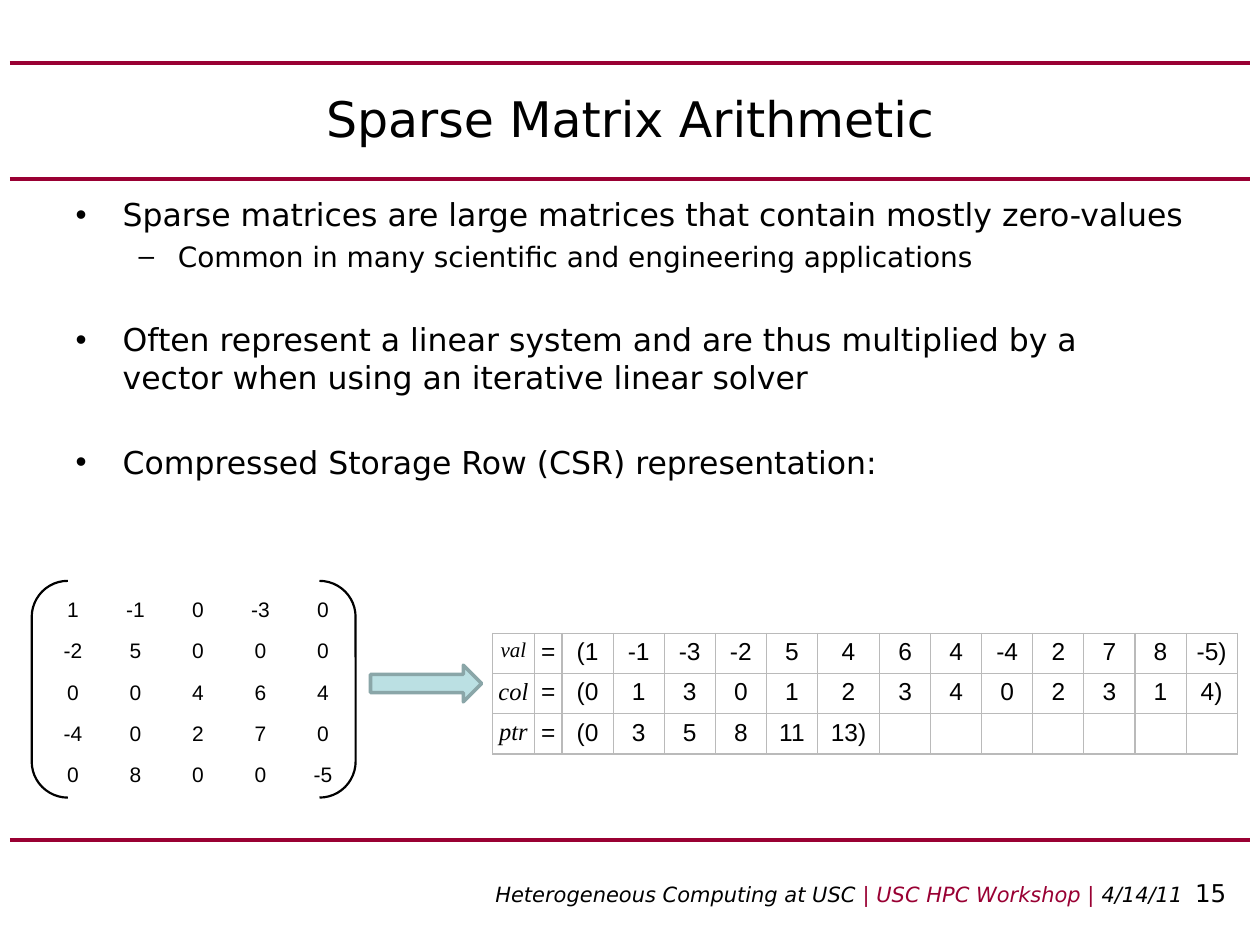
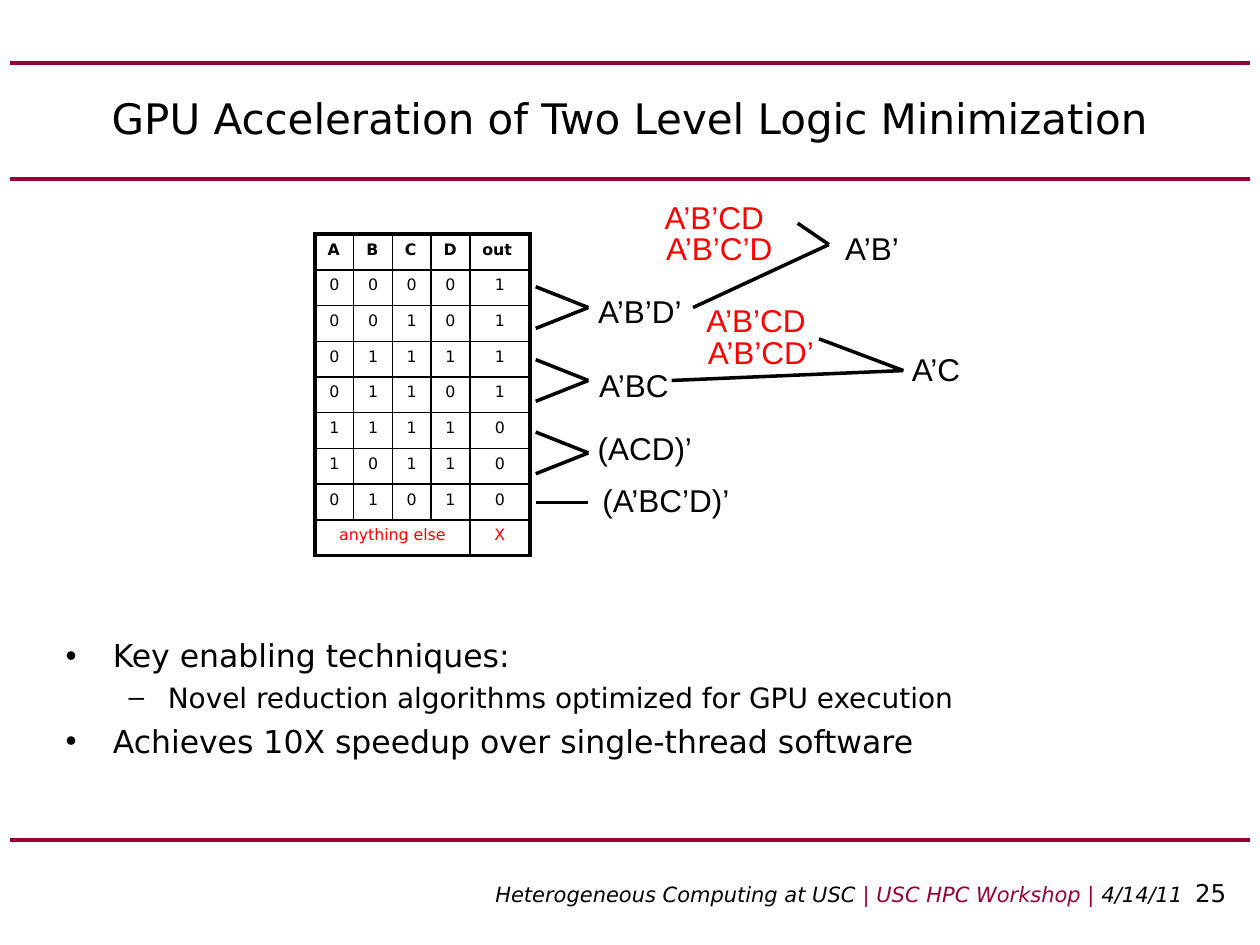
from lxml.etree import SubElement
from pptx import Presentation
from pptx.dml.color import RGBColor
from pptx.enum.shapes import MSO_CONNECTOR as Link, MSO_SHAPE as Form
from pptx.enum.text import MSO_ANCHOR as Anchor, MSO_AUTO_SIZE as Fit, PP_ALIGN as Align
from pptx.oxml.ns import qn
from pptx.util import Cm, Pt

BLACK, WINE, RED, GREY = "000000", "990033", "FF0000", "BABABA"
TITLE = {"name": "DejaVu Sans", "bold": False}
FOOT = {"name": "DejaVu Sans", "size": Pt(12), "italic": True}
LABEL = {"name": "Arial", "size": Pt(18)}
ENTRY = {"name": "Arial", "size": Pt(12), "bold": False}
VALUE = {"name": "Arial", "size": Pt(14), "bold": False}
NAME = {"name": "Times New Roman", "size": Pt(14), "bold": False, "italic": True}
BIT = {"name": "DejaVu Sans", "size": Pt(9), "bold": False}
# level: bullet, left margin, hanging indent, text size
LEVELS = [("•", 0.95, 0.95, 18), ("–", 2.06, 0.79, 16)]


def tint(code):
    return RGBColor.from_string(code)


def style(target, values):
    for key, value in values.items():
        setattr(target, key, value)


def write(para, text, font, color=BLACK):
    run = para.add_run()
    run.text = text
    style(run.font, font)
    run.font.color.rgb = tint(color)


def place(shape, box):
    style(shape, dict(zip(("left", "top", "width", "height"), map(Cm, box))))


def rule(slide, start, end, color=BLACK, width=2):
    line = slide.shapes.add_connector(Link.STRAIGHT, *map(Cm, (*start, *end)))
    style(line.line, {"width": Pt(width)})
    line.line.color.rgb = tint(color)
    SubElement(line._element.spPr, qn("a:effectLst"))


def form(slide, kind, box, line, width, fill=None):
    shape = slide.shapes.add_shape(kind, *map(Cm, box))
    shape.shadow.inherit = False
    shape.line.color.rgb = tint(line)
    shape.line.width = Pt(width)
    if fill:
        shape.fill.solid()
        shape.fill.fore_color.rgb = tint(fill)
    else:
        shape.fill.background()


def text_box(slide, box):
    frame = slide.shapes.add_textbox(*map(Cm, box)).text_frame
    frame.word_wrap = True
    return frame.paragraphs[0]


# Slide frame: title, rules and footer
def start(deck, title, size, number):
    slide = deck.slides.add_slide(deck.slide_layouts[1])
    for y in (1.27, 3.6, 16.94):
        rule(slide, (0.2, y), (25.2, y), WINE, 2.25)
    head = slide.shapes.title
    place(head, (1.27, 1.27, 22.86, 2.21))
    style(head.text_frame, {"vertical_anchor": Anchor.MIDDLE, "auto_size": Fit.NONE})
    para = head.text_frame.paragraphs[0]
    para.alignment = Align.CENTER
    write(para, title, TITLE | {"size": Pt(size)})
    foot = text_box(slide, (7.82, 17.58, 17.15, 0.84))
    foot.alignment = Align.RIGHT
    write(foot, "Heterogeneous Computing at USC ", FOOT)
    write(foot, "| USC HPC Workshop | ", FOOT, WINE)
    write(foot, "4/14/11\t ", FOOT)
    write(foot, number, FOOT | {"size": Pt(14), "italic": False})
    return slide


def bullets(slide, box, items):
    """Each item is level, space before, text."""
    body = slide.placeholders[1]
    place(body, box)
    frame = body.text_frame
    style(frame, {"vertical_anchor": Anchor.TOP, "auto_size": Fit.NONE,
                  "margin_right": Cm(0.2)})
    for i, (level, gap, text) in enumerate(items):
        para = frame.add_paragraph() if i else frame.paragraphs[0]
        mark, left, hang, size = LEVELS[level]
        props = para._p.get_or_add_pPr()
        props.set("marL", str(Cm(left)))
        props.set("indent", str(-Cm(hang)))
        SubElement(props, qn("a:buChar")).set("char", mark)
        style(para, {"level": level, "space_before": Pt(gap),
                     "alignment": Align.LEFT})
        write(para, text, TITLE | {"size": Pt(size)})


# Tables
def grid(slide, x, y, cols, height, count):
    shape = slide.shapes.add_table(count, len(cols), Cm(x), Cm(y),
                                   Cm(sum(cols)), Cm(height * count))
    table = shape.table
    style(table, {"first_row": False, "horz_banding": False})
    for col, width in zip(table.columns, cols):
        col.width = Cm(width)
    for row in table.rows:
        row.height = Cm(height)
    for cell in table.iter_cells():
        cell.fill.background()
    return table


def fill_cell(cell, text, font, color=BLACK, align=Align.CENTER):
    para = cell.text_frame.paragraphs[0]
    para.alignment = align
    if text:
        write(para, text, font, color)
    else:
        para._p.get_or_add_endParaRPr().set("sz", str(int(font["size"].pt * 100)))


def edge(cell, color, widths):
    """Widths are left, right, top, bottom in points."""
    props = cell._tc.get_or_add_tcPr()
    for i, (side, width) in enumerate(zip("LRTB", widths)):
        line = props.makeelement(qn(f"a:ln{side}"), {"w": str(Pt(width))})
        fill = SubElement(line, qn("a:solidFill"))
        SubElement(fill, qn("a:srgbClr")).set("val", color)
        props.insert(i, line)


def matrix(slide, x, y):
    rows = ["1 -1 0 -3 0", "-2 5 0 0 0", "0 0 4 6 4", "-4 0 2 7 0", "0 8 0 0 -5"]
    table = grid(slide, x + 0.2, y + 0.23, [1.26] * 5, 0.83, len(rows))
    for r, row in enumerate(rows):
        for c, text in enumerate(row.split()):
            fill_cell(table.cell(r, c), text, ENTRY)
    form(slide, Form.DOUBLE_BRACKET, (x, y, 6.53, 4.37), BLACK, 1.25)


def arrays(slide, x, y):
    rows = ["val = (1 -1 -3 -2 5 4 6 4 -4 2 7 8 -5)",
            "col = (0 1 3 0 1 2 3 4 0 2 3 1 4)",
            "ptr = (0 3 5 8 11 13)"]
    cols = [0.84, 0.56] + [1.03] * 5 + [1.25] + [1.03] * 7
    table = grid(slide, x, y, cols, 0.81, len(rows))
    pad = {f"margin_{s}": Cm(0.1) for s in ("left", "right", "top", "bottom")}
    for r, row in enumerate(rows):
        texts = row.split()
        texts += [""] * (len(cols) - len(texts))
        for c, text in enumerate(texts):
            cell = table.cell(r, c)
            style(cell, pad)
            font = VALUE if c else NAME
            if text == "val":
                font = NAME | {"size": Pt(12)}
            fill_cell(cell, text, font)
            edge(cell, GREY, [0.75] * 4)


def truth(slide, x, y):
    rows = ["00001", "00101", "01111", "01101", "11110", "10110", "01010"]
    last = len(rows) + 1
    table = grid(slide, x, y, [0.78] * 4 + [1.21], 0.72, last + 1)
    for c, text in enumerate(["A", "B", "C", "D", "out"]):
        fill_cell(table.cell(0, c), text, BIT | {"bold": True}, align=Align.LEFT)
    for r, row in enumerate(rows, 1):
        for c, bit in enumerate(row):
            fill_cell(table.cell(r, c), bit, BIT)
    table.cell(last, 0).merge(table.cell(last, 3))
    fill_cell(table.cell(last, 0), "anything else", BIT, RED)
    fill_cell(table.cell(last, 4), "X", BIT, RED)
    for r in range(last + 1):
        for c in range(5):
            outer = (c == 0, c == 4, r == 0, r == last)
            edge(table.cell(r, c), BLACK, [2.25 if o else 1 for o in outer])


# Terms merged step by step, to the right of the truth table
def terms(slide, x, y):
    lines = [((4.45, 6.32), (5.51, 6.32)),
             ((7.62, 2.39), (10.36, 1.12)), ((9.73, 0.69), (10.36, 1.12)),
             ((7.19, 3.86), (11.86, 3.66)), ((10.16, 3.02), (11.86, 3.66))]
    for tip in (2.39, 3.86, 5.32):
        lines += [((4.45, tip + d), (5.51, tip)) for d in (-0.42, 0.42)]
    for (x1, y1), (x2, y2) in lines:
        rule(slide, (x + x1, y + y1), (x + x2, y + y2))
    labels = [("A’B’D’", 5.28, 1.96, 2.54, BLACK), ("A’BC", 5.16, 3.45, 2.54, BLACK),
              ("(ACD)’", 5.38, 4.72, 2.54, BLACK), ("(A’BC’D)’", 5.26, 5.77, 3.63, BLACK),
              ("A’B’CD", 6.78, 0.05, 2.54, RED), ("A’B’C’D", 6.78, 0.69, 2.74, RED),
              ("A’B’", 9.96, 0.69, 2.54, BLACK), ("A’B’CD", 7.62, 2.13, 2.54, RED),
              ("A’B’CD’", 7.62, 2.77, 2.74, RED), ("A’C", 11.25, 3.12, 2.54, BLACK)]
    for text, left, top, width, color in labels:
        para = text_box(slide, (x + left, y + top, width, 1.02))
        para.alignment = Align.CENTER
        write(para, text, LABEL, color)


def sparse(deck):
    slide = start(deck, "Sparse Matrix Arithmetic", 28, "15")
    bullets(slide, (1.27, 3.81, 22.86, 12.9), [
        (0, 0, "Sparse matrices are large matrices that contain mostly zero-values"),
        (1, 3.6, "Common in many scientific and engineering applications"),
        (0, 27, "Often represent a linear system and are thus multiplied by a "
                "vector when using an iterative linear solver"),
        (0, 27, "Compressed Storage Row (CSR) representation:")])
    matrix(slide, 0.64, 11.71)
    arrays(slide, 9.93, 12.77)
    form(slide, Form.RIGHT_ARROW, (7.47, 13.41, 2.24, 0.74), "8AA6A8", 2, "BBE0E3")


def logic(deck):
    slide = start(deck, "GPU Acceleration of Two Level Logic Minimization", 24, "25")
    truth(slide, 6.35, 4.72)
    terms(slide, 6.35, 3.81)
    bullets(slide, (1.07, 12.7, 22.86, 4.01), [
        (0, 0, "Key enabling techniques:"),
        (1, 3.6, "Novel reduction algorithms optimized for GPU execution"),
        (0, 4.4, "Achieves 10X speedup over single-thread software")])


def main():
    deck = Presentation()
    style(deck, {"slide_width": Cm(25.4), "slide_height": Cm(19.05)})
    sparse(deck)
    logic(deck)
    deck.save("out.pptx")


if __name__ == "__main__":
    main()
